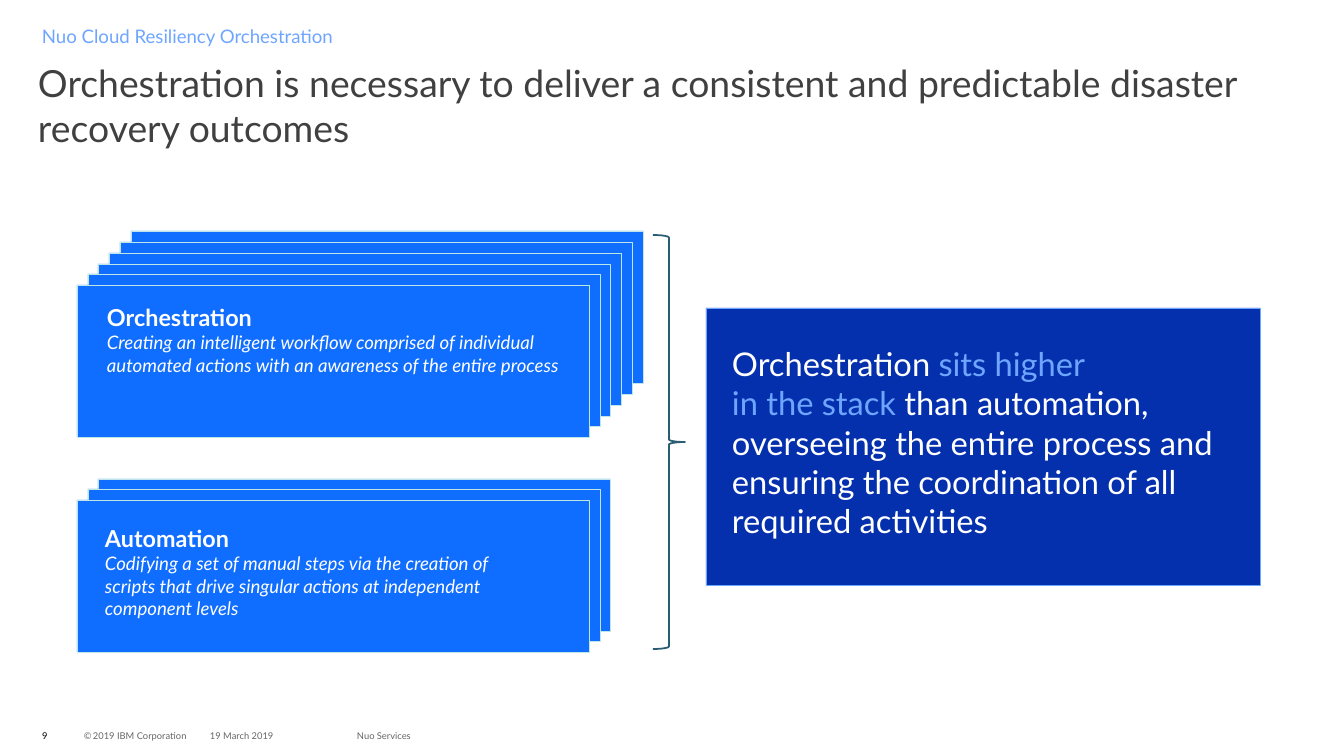
from pptx import Presentation, util as u
from pptx.dml.color import RGBColor
from pptx.enum import shapes, text

deck = Presentation()


def px(n):
    return u.Inches(n / 84)


def write(paras, at, size=16, color="FFFFFF", inset=0, space=1.0, mid=False):
    box = slide.shapes.add_textbox(*map(px, at))
    frame = box.text_frame
    frame.word_wrap = True
    frame.margin_left = frame.margin_right = px(inset * 2)
    frame.margin_top = frame.margin_bottom = px(inset)
    frame.vertical_anchor = text.MSO_ANCHOR.MIDDLE if mid else text.MSO_ANCHOR.TOP
    if isinstance(paras, str):
        paras = [[(paras, {})]]
    for i, runs in enumerate(paras):
        para = frame.paragraphs[0] if i == 0 else frame.add_paragraph()
        para.line_spacing = space
        for words, look in runs:
            if words == "\n":
                para.add_line_break()
                continue
            run = para.add_run()
            run.text = words
            font = run.font
            font.name = "Lato"
            font.size = u.Pt(look.get("size", size))
            font.bold = look.get("bold", False)
            font.italic = look.get("italic", False)
            font.color.rgb = RGBColor.from_string(look.get("color", color))


def draw(kind, at, fill, line, width):
    shape = slide.shapes.add_shape(kind, *map(px, at))
    shape.shadow.inherit = False
    if fill:
        shape.fill.solid()
        shape.fill.fore_color.rgb = RGBColor.from_string(fill)
    else:
        shape.fill.background()
    shape.line.color.rgb = RGBColor.from_string(line)
    shape.line.width = u.Pt(width)
    return shape


deck.slide_width, deck.slide_height = px(1344), px(756)
slide = deck.slides.add_slide(deck.slide_layouts[6])
rect = shapes.MSO_SHAPE.RECTANGLE

owner = [[("©", {}), (" ", {"size": 4}), ("2019 IBM Corporation", {})]]
for words, left, wide, color in [
    ("9", 42, 30, "000000"),
    (owner, 84, 210, "666666"),
    ("19 March 2019", 210, 126, "666666"),
    ("Nuo Services", 357, 210, "666666"),
]:
    write(words, (left, 726, wide, 20), size=8, color=color, mid=True)

write("Nuo Cloud Resiliency Orchestration", (42, 24, 605, 25), color="6EA6FF", space=1.05)
write("Orchestration is necessary to deliver a consistent and predictable disaster recovery outcomes",
      (38, 60, 1223, 91), size=32, color="404040")

for count, top, head, body, at in [
    (6, 285, "Orchestration",
     "Creating an intelligent workflow comprised of individual automated actions with an awareness of the entire process",
     (99, 299, 479, 105)),
    (3, 500, "Automation",
     "Codifying a set of manual steps via the creation of scripts that drive singular actions at independent component levels",
     (97, 520, 422, 105)),
]:
    for i in reversed(range(count)):
        step = round(i * 10.7)
        draw(rect, (77 + step, top - step, 512, 152), "0F6DFF", "BEE5E7", 0.5)
    write([[(head, {"size": 20, "bold": True})], [(body, {"italic": True})]], at, inset=4)

draw(rect, (706, 308, 554, 277), "0530AD", "6EA6FF", 0.5)
pale = {"color": "6EA6FF"}
write([[("Orchestration ", {}), ("sits higher", pale), ("\n", {}), ("in the stack ", pale),
        ("than automation, overseeing the entire process and ensuring the coordination of all required activities", {})]],
      (732, 344, 501, 198), size=28)

brace = draw(shapes.MSO_SHAPE.RIGHT_BRACE, (653, 235, 32, 414), None, "295D74", 1.5)
brace.adjustments[0] = 0.08
brace.adjustments[1] = 0.5

deck.save("out.pptx")
